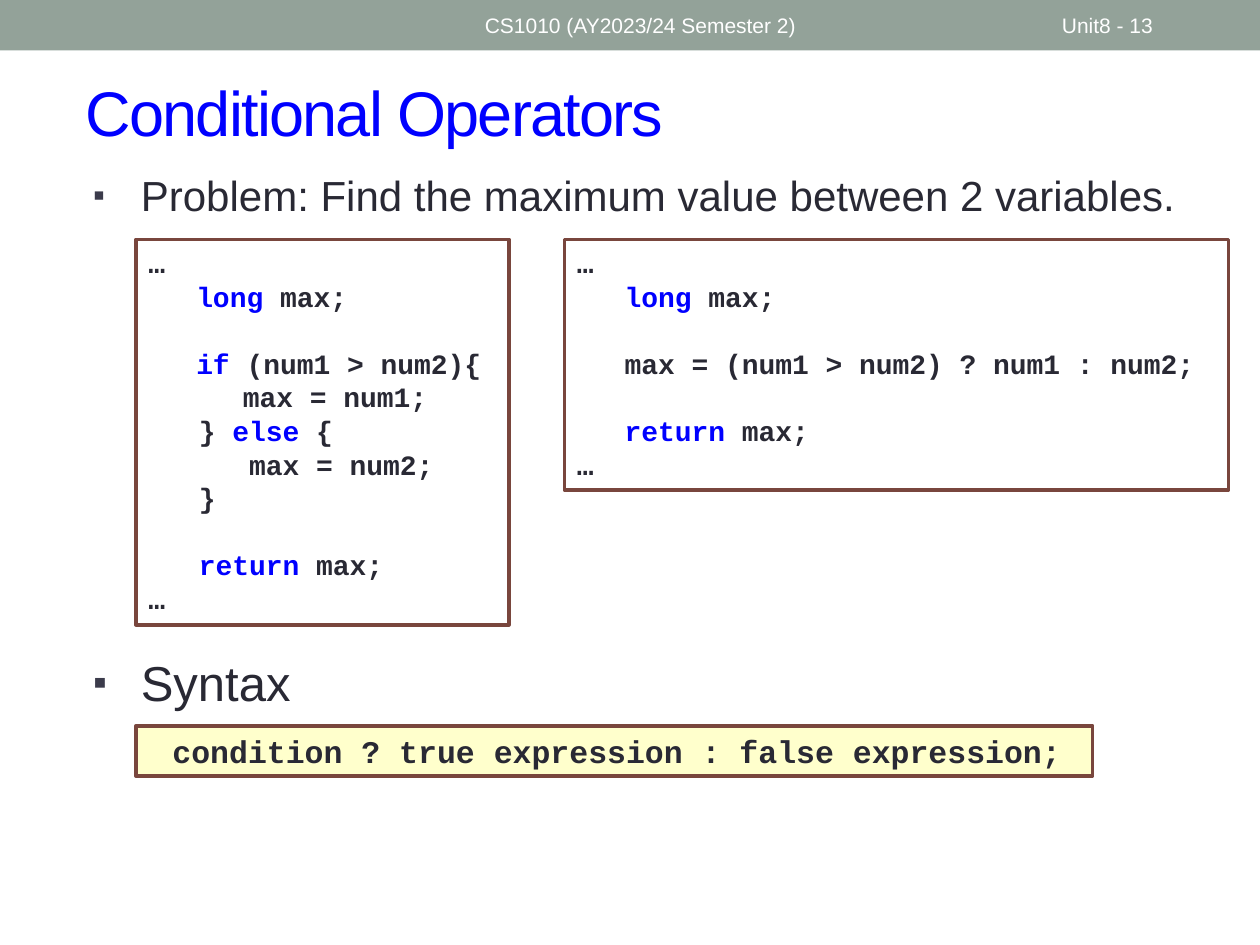
import pptx
import pptx.util
import pptx.dml.color
import pptx.enum.shapes
import pptx.enum.text
import pptx.oxml.ns
from lxml import etree
from pptx.util import Inches

COLORS = {
    "band": "93A299",
    "title": "0000FF",
    "keyword": "0000FF",
    "text": "292934",
    "bullet": "3B3B4B",
    "border": "79463D",
    "white": "FFFFFF",
    "syntax": "FFFFCC",
}
SANS, MONO = "Arial", "Courier New"

# Each code line: indent in inches, blank lines above, spans of (text, colour)
IF_ELSE_CODE = [
    (0, 0, [("…", "text")]),
    (0.38, 0, [("long", "keyword"), (" max;", "text")]),
    (0.38, 1, [("if", "keyword"), (" (num1 > num2){", "text")]),
    (0.75, 0, [("max = num1;", "text")]),
    (0.4, 0, [("} ", "text"), ("else", "keyword"), (" {", "text")]),
    (0.8, 0, [("max = num2;", "text")]),
    (0.4, 0, [("}", "text")]),
    (0.4, 1, [("return", "keyword"), (" max;", "text")]),
    (0, 0, [("…", "text")]),
]
TERNARY_CODE = [
    (0, 0, [("…", "text")]),
    (0.38, 0, [("long", "keyword"), (" max;", "text")]),
    (0.38, 1, [("max = (num1 > num2) ? num1 : num2;", "text")]),
    (0.38, 1, [("return", "keyword"), (" max;", "text")]),
    (0, 0, [("…", "text")]),
]
SYNTAX_CODE = [(0.19, 0, [("condition ? true expression : false expression;", "text")])]


def rgb(name):
    return pptx.dml.color.RGBColor.from_string(COLORS[name])


def set_font(font, name, size, color):
    font.name = name
    font.size = pptx.util.Pt(size)
    font.color.rgb = rgb(color)


def add_rectangle(page, box, fill, border=None):
    shape = page.shapes.add_shape(
        pptx.enum.shapes.MSO_SHAPE.RECTANGLE, *map(Inches, box))
    shape.shadow.inherit = False
    shape.fill.solid()
    shape.fill.fore_color.rgb = rgb(fill)
    if border:
        shape.line.color.rgb = rgb(border)
        shape.line.width = pptx.util.Pt(2.08)
    else:
        shape.line.fill.background()
    return shape


def add_label(page, box, text, size, color, anchor):
    frame = page.shapes.add_textbox(*map(Inches, box)).text_frame
    frame.word_wrap = True
    frame.vertical_anchor = anchor
    para = frame.paragraphs[0]
    para.text = text
    set_font(para.font, SANS, size, color)
    return para


def add_header(page, box):
    left, top, width, height = box
    add_rectangle(page, box, "band")
    for offset, label_width, text in [
            (3.75, 4.5, "CS1010 (AY2023/24 Semester 2)"),
            (8.33, 1.17, "Unit8 - 13")]:
        add_label(page, (left + offset, top + 0.02, label_width, height - 0.04),
                  text, 12, "white", pptx.enum.text.MSO_ANCHOR.MIDDLE)


def format_title(page, box, text):
    title = page.shapes.title
    title.left, title.top, title.width, title.height = map(Inches, box)
    frame = title.text_frame
    frame.auto_size = pptx.enum.text.MSO_AUTO_SIZE.NONE
    frame.vertical_anchor = pptx.enum.text.MSO_ANCHOR.MIDDLE
    para = frame.paragraphs[0]
    para.alignment = pptx.enum.text.PP_ALIGN.LEFT
    span = para.add_run()
    span.text = text
    set_font(para.font, SANS, 36, "title")
    span.font._element.set("spc", "-100")


def add_bullet(page, box, text, size):
    para = add_label(page, box, text, size, "text",
                     pptx.enum.text.MSO_ANCHOR.TOP)
    props = para._p.get_or_add_pPr()
    props.set("marL", str(Inches(0.38)))
    props.set("indent", str(-Inches(0.38)))
    qn = pptx.oxml.ns.qn
    color = etree.Element(qn("a:buClr"))
    etree.SubElement(color, qn("a:srgbClr"), val=COLORS["bullet"])
    parts = [
        color,
        etree.Element(qn("a:buSzPct"), val="80000"),
        etree.Element(qn("a:buFont"), typeface=SANS),
        etree.Element(qn("a:buChar"), char="▪"),
    ]
    for position, part in enumerate(parts):
        props.insert(position, part)


def add_code(page, box, lines, size, fill):
    """Draw a bordered box of code; blank lines become space above."""
    frame = add_rectangle(page, box, fill, "border").text_frame
    frame.word_wrap = True
    frame.vertical_anchor = pptx.enum.text.MSO_ANCHOR.TOP
    pitch = 1.2 * size
    for number, (indent, blanks, spans) in enumerate(lines):
        para = frame.add_paragraph() if number else frame.paragraphs[0]
        para.alignment = pptx.enum.text.PP_ALIGN.LEFT
        para.line_spacing = pptx.util.Pt(pitch)
        para.space_before = pptx.util.Pt(blanks * pitch)
        para._p.get_or_add_pPr().set("marL", str(Inches(indent)))
        para.font.bold = True
        set_font(para.font, MONO, size, "text")
        for text, color in spans:
            span = para.add_run()
            span.text = text
            span.font.color.rgb = rgb(color)


def main():
    deck = pptx.Presentation()
    deck.slide_width, deck.slide_height = Inches(10), Inches(7.5)
    page = deck.slides.add_slide(deck.slide_layouts[5])

    add_header(page, (0, 0, 10, 0.4))
    format_title(page, (0.58, 0.42, 9.17, 0.92), "Conditional Operators")
    add_bullet(page, (0.64, 1.3, 9.17, 0.6),
               "Problem: Find the maximum value between 2 variables.", 24)
    add_code(page, (1.08, 1.9, 2.96, 3.06), IF_ELSE_CODE, 16, "white")
    add_code(page, (4.48, 1.9, 5.27, 1.99), TERNARY_CODE, 16, "white")
    add_bullet(page, (0.64, 5.13, 9, 0.54), "Syntax", 28)
    add_code(page, (1.08, 5.76, 7.59, 0.4), SYNTAX_CODE, 18, "syntax")
    deck.save("out.pptx")


if __name__ == "__main__":
    main()
